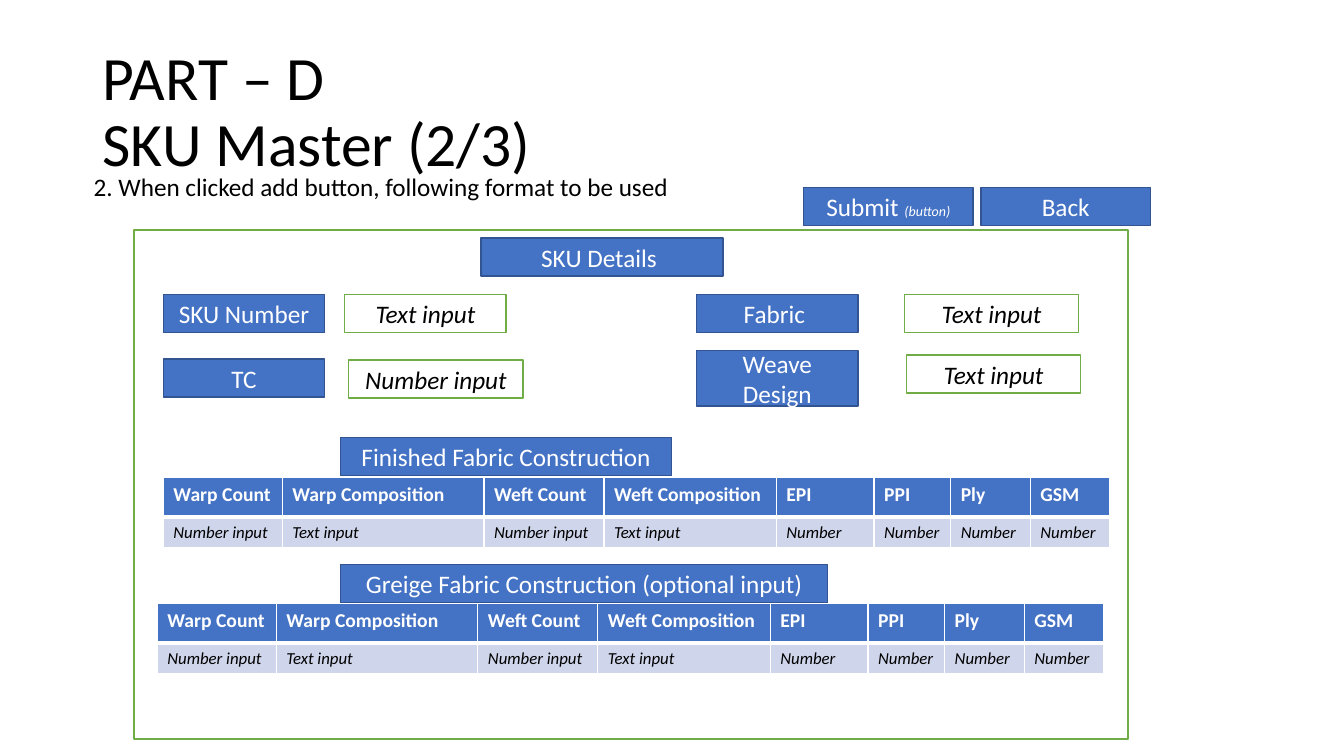
import dataclasses

import lxml.etree
import pptx
import pptx.dml.color
import pptx.enum.shapes
import pptx.enum.text
import pptx.oxml.ns
import pptx.util

SCALE = 9144  # EMU in one px, 100 px to the inch


@dataclasses.dataclass(frozen=True)
class Theme:
    font: str = "Calibri"
    black: str = "000000"
    white: str = "FFFFFF"
    blue: str = "4472C4"
    navy: str = "325491"
    green: str = "70AD47"
    pale: str = "CFD5EA"
    title: int = 44
    body: int = 18
    head: int = 14
    cell: int = 12
    note: int = 10


THEME = Theme()
ALIGN = pptx.enum.text.PP_ALIGN
ANCHOR = pptx.enum.text.MSO_ANCHOR

COLS = [118, 200, 119, 171, 97, 76, 79, 79]
HEADS = ["Warp Count", "Warp Composition", "Weft Count", "Weft Composition",
         "EPI", "PPI", "Ply", "GSM"]
HINTS = ["Number input", "Text input"] * 2 + ["Number"] * 4
ROWS = [39, 30]


def px(*nums):
    return [pptx.util.Emu(n * SCALE) for n in nums]


def rgb(color):
    return pptx.dml.color.RGBColor.from_string(color)


def add_run(para, text, size, color, bold=False, slant=False):
    run = para.add_run()
    run.text = text
    font = run.font
    font.name, font.size = THEME.font, pptx.util.Pt(size)
    font.bold, font.italic = bold, slant
    font.color.rgb = rgb(color)


def add_text(slide, place, lines, size, anchor):
    frame = slide.shapes.add_textbox(*px(*place)).text_frame
    frame.word_wrap = True
    frame.vertical_anchor = anchor
    para = frame.paragraphs[0]
    for i, line in enumerate(lines):
        if i:
            para.add_line_break()
        add_run(para, line, size, THEME.black)
    return frame


def add_rect(slide, place, fill, edge):
    kind = pptx.enum.shapes.MSO_SHAPE.RECTANGLE
    rect = slide.shapes.add_shape(kind, *px(*place))
    rect.shadow.inherit = False
    rect.fill.solid()
    rect.fill.fore_color.rgb = rgb(fill)
    rect.line.color.rgb = rgb(edge)
    rect.line.width = pptx.util.Pt(1)
    frame = rect.text_frame
    frame.word_wrap = True
    frame.vertical_anchor = ANCHOR.MIDDLE
    frame.paragraphs[0].alignment = ALIGN.CENTER
    return frame.paragraphs[0]


def add_label(slide, place, text, note=""):
    para = add_rect(slide, place, THEME.blue, THEME.navy)
    add_run(para, text, THEME.body, THEME.white)
    if note:
        add_run(para, note, THEME.note, THEME.white, slant=True)


def add_input(slide, place, text):
    para = add_rect(slide, place, THEME.white, THEME.green)
    add_run(para, text, THEME.body, THEME.black, slant=True)


def add_edge(cell, side, width):
    name = pptx.oxml.ns.qn
    props = cell._tc.get_or_add_tcPr()
    line = lxml.etree.SubElement(props, name("a:ln" + side))
    line.set("w", str(pptx.util.Pt(width)))
    fill = lxml.etree.SubElement(line, name("a:solidFill"))
    lxml.etree.SubElement(fill, name("a:srgbClr")).set("val", THEME.white)


def add_grid(slide, left, top):
    place = px(left, top, sum(COLS), sum(ROWS))
    grid = slide.shapes.add_table(len(ROWS), len(COLS), *place).table
    grid.horz_banding = False
    for col, width in zip(grid.columns, px(*COLS)):
        col.width = width
    for row, high in zip(grid.rows, px(*ROWS)):
        row.height = high
    for r, texts in enumerate([HEADS, HINTS]):
        head = r == 0
        for c, text in enumerate(texts):
            cell = grid.cell(r, c)
            # The rule under the head row is the thick one
            edges = {"L": 1, "R": 1, "T": 1 if head else 3, "B": 3 if head else 1}
            for side, width in edges.items():
                add_edge(cell, side, width)
            cell.fill.solid()
            cell.fill.fore_color.rgb = rgb(THEME.blue if head else THEME.pale)
            add_run(cell.text_frame.paragraphs[0], text,
                    THEME.head if head else THEME.cell,
                    THEME.white if head else THEME.black,
                    bold=head, slant=not head)


def main():
    deck = pptx.Presentation()
    deck.slide_width, deck.slide_height = px(1333, 750)
    slide = deck.slides.add_slide(deck.slide_layouts[6])

    # Title and step
    title = add_text(slide, (92, 40, 1150, 145), ["PART – D", "SKU Master (2/3)"],
                     THEME.title, ANCHOR.MIDDLE)
    title.paragraphs[0].line_spacing = 0.9
    step = add_text(slide, (83, 165, 957, 40),
                    ["2. When clicked add button, following format to be used"],
                    THEME.body, ANCHOR.TOP)
    step.auto_size = pptx.enum.text.MSO_AUTO_SIZE.SHAPE_TO_FIT_TEXT

    # Form frame
    add_rect(slide, (133, 228, 986, 505), THEME.white, THEME.green)

    # Labels
    for place, text in [
        ((477, 236, 240, 38), "SKU Details "),
        ((162, 292, 160, 38), "SKU Number"),
        ((162, 356, 160, 38), "TC"),
        ((691, 292, 160, 38), "Fabric "),
        ((691, 348, 160, 55), "Weave Design"),
        ((338, 434, 328, 38), "Finished Fabric Construction"),
        ((338, 560, 483, 38), "Greige Fabric Construction (optional input)"),
    ]:
        add_label(slide, place, text)

    # Input fields
    for place, text in [
        ((342, 292, 160, 38), "Text input"),
        ((346, 357, 173, 38), "Number input"),
        ((897, 292, 173, 38), "Text input"),
        ((899, 352, 173, 38), "Text input"),
    ]:
        add_input(slide, place, text)

    # Fabric tables
    add_grid(slide, 162, 474)
    add_grid(slide, 156, 599)

    # Buttons
    add_label(slide, (797, 186, 168, 38), "Submit ", "(button)")
    add_label(slide, (973, 186, 168, 38), "Back")

    deck.save("out.pptx")


if __name__ == "__main__":
    main()
